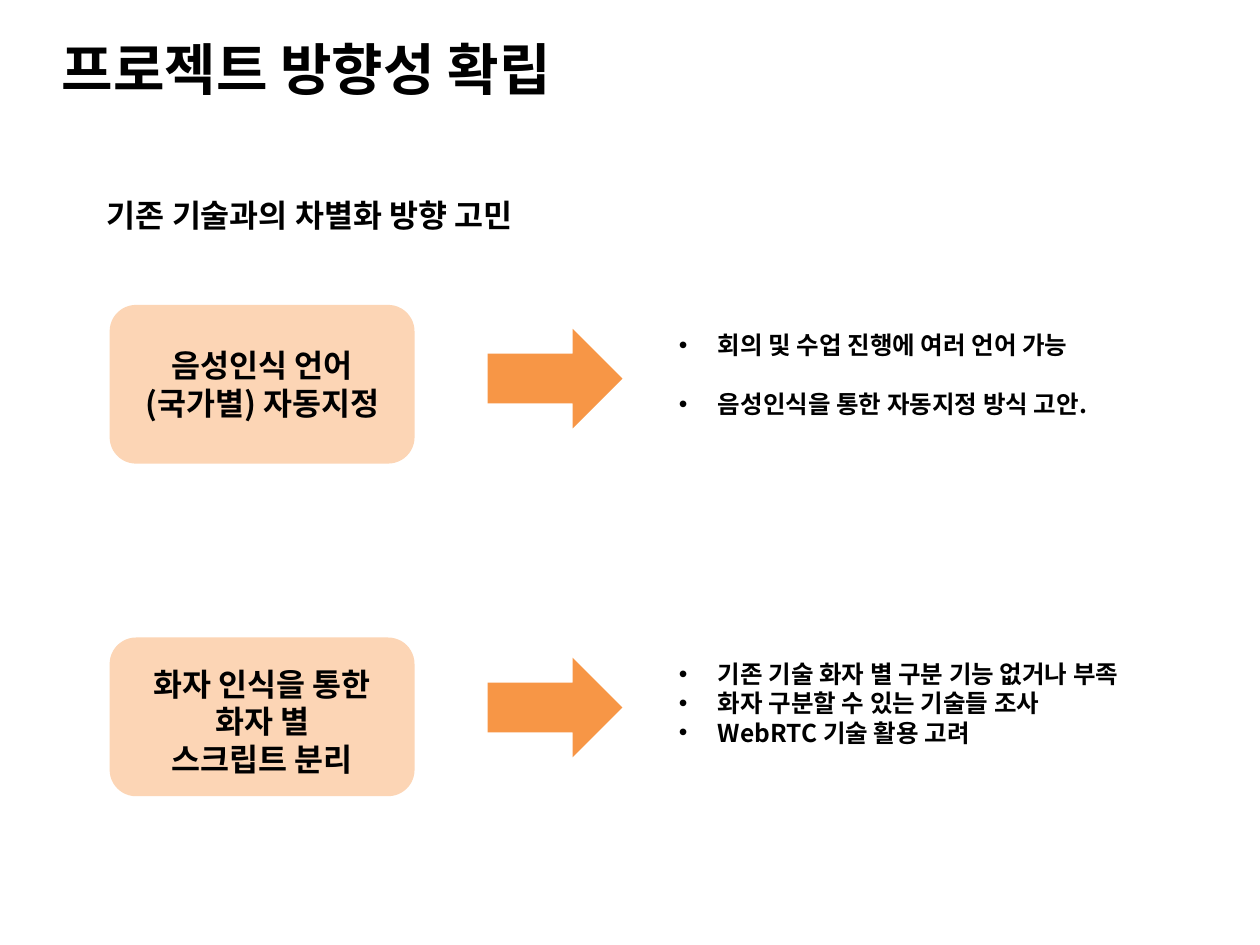
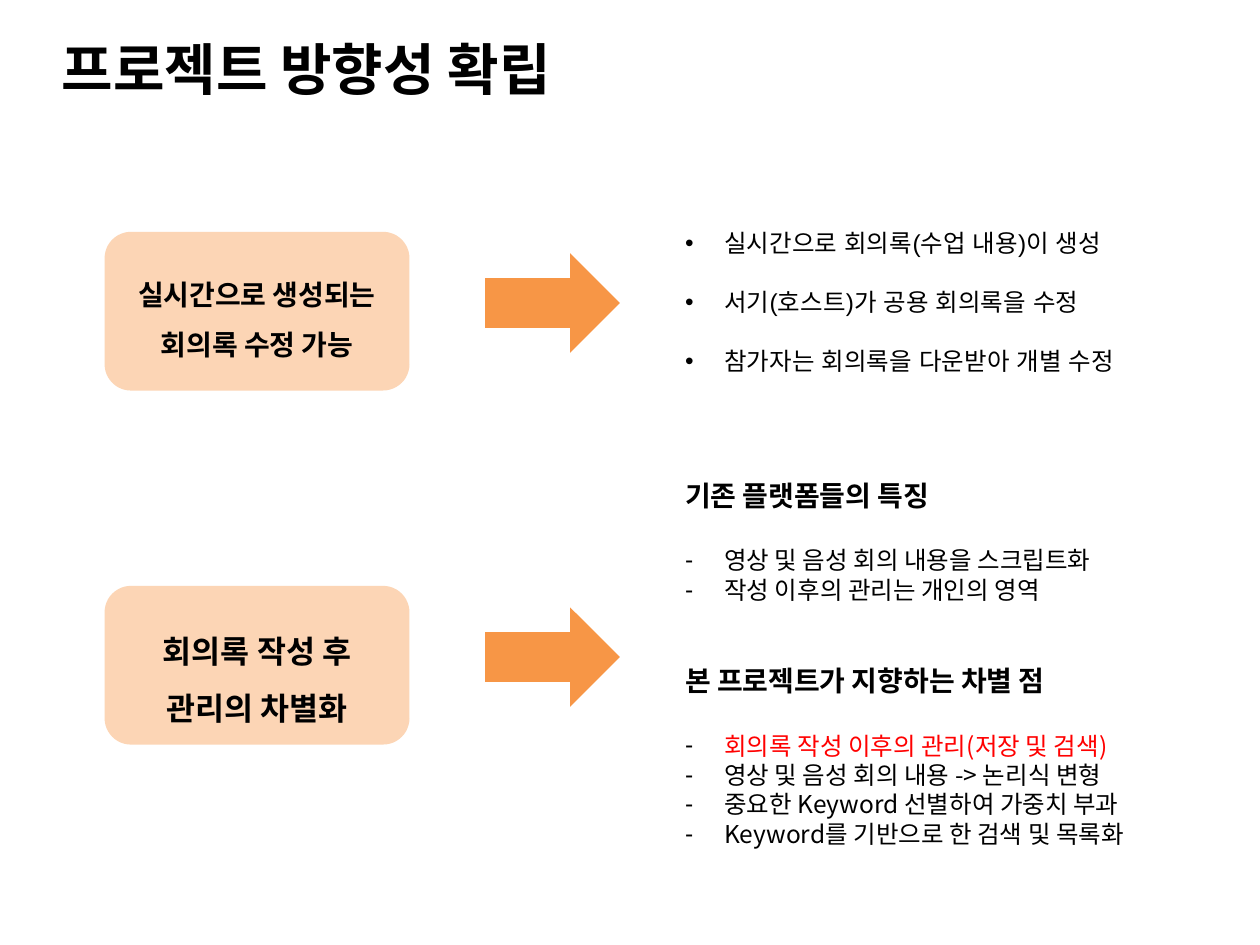
from dataclasses import dataclass

from lxml.etree import SubElement
from pptx import Presentation
from pptx.dml.color import RGBColor
from pptx.enum.shapes import MSO_SHAPE
from pptx.enum.text import MSO_ANCHOR, PP_ALIGN
from pptx.oxml.ns import qn
from pptx.slide import Slide
from pptx.text.text import TextFrame
from pptx.util import Inches, Pt


@dataclass(frozen=True)
class Theme:
    font: str = "Noto Sans CJK KR"
    plain: str = "Arial"
    ink: str = "000000"
    alert: str = "FF0000"
    box: str = "FCD5B5"
    arrow: str = "F79646"
    title: int = 32
    lead: int = 18
    head: int = 16
    body: int = 14
    gap: int = 17


T = Theme()


@dataclass(frozen=True)
class Line:
    text: str
    size: int = T.body
    bold: bool = True
    mark: str = ""
    before: float = 0
    color: str = T.ink
    font: str = T.font
    pitch: float = 1.0
    center: bool = False


@dataclass(frozen=True)
class Row:
    box_top: float
    arrow_top: float
    list_top: float
    list_high: float
    label: list[Line]
    items: list[Line]
    drop: float = 0


@dataclass(frozen=True)
class Grid:
    box: float
    arrow: float
    items: float
    wide: float


def label(texts: list[str], size: int = T.lead, pitch: float = 1.0) -> list[Line]:
    return [Line(text, size, pitch=pitch, center=True) for text in texts]


def bullets(texts: list[str], gap: float = 0, bold: bool = True, font: str = T.font) -> list[Line]:
    return [
        Line(text, bold=bold, mark="•", before=gap if i else 0, font=font)
        for i, text in enumerate(texts)
    ]


def section(head: str, texts: list[str], before: float = 0, first: str = T.ink) -> list[Line]:
    dashes = [
        Line(text, bold=False, mark="-", before=0 if i else 19, color=T.ink if i else first)
        for i, text in enumerate(texts)
    ]
    return [Line(head, T.head, before=before), *dashes]


def write(frame: TextFrame, lines: list[Line]) -> None:
    frame.word_wrap = True
    for i, line in enumerate(lines):
        para = frame.add_paragraph() if i else frame.paragraphs[0]
        para.text = line.text
        para.alignment = PP_ALIGN.CENTER if line.center else PP_ALIGN.LEFT
        if line.pitch != 1:
            para.line_spacing = line.pitch
        if line.before:
            para.space_before = Pt(line.before)
        if line.mark:
            props = para._p.get_or_add_pPr()
            props.set("marL", str(Inches(0.31)))
            props.set("indent", str(-Inches(0.31)))
            tint = SubElement(props, qn("a:buClr"))
            SubElement(tint, qn("a:srgbClr"), val=T.ink)
            SubElement(props, qn("a:buFont"), typeface=T.plain)
            SubElement(props, qn("a:buChar"), char=line.mark)
        font = para.font
        font.name = line.font
        font.size = Pt(line.size)
        font.bold = line.bold
        font.color.rgb = RGBColor.from_string(line.color)
        SubElement(font._element, qn("a:ea"), typeface=line.font)


def add_text(slide: Slide, left: float, top: float, wide: float, high: float, lines: list[Line]) -> TextFrame:
    area = slide.shapes.add_textbox(Inches(left), Inches(top), Inches(wide), Inches(high))
    write(area.text_frame, lines)
    return area.text_frame


def add_form(slide: Slide, kind: MSO_SHAPE, left: float, top: float, wide: float, high: float, fill: str) -> TextFrame:
    form = slide.shapes.add_shape(kind, Inches(left), Inches(top), Inches(wide), Inches(high))
    form.shadow.inherit = False
    form.fill.solid()
    form.fill.fore_color.rgb = RGBColor.from_string(fill)
    form.line.fill.background()
    return form.text_frame


def add_row(slide: Slide, grid: Grid, row: Row) -> None:
    frame = add_form(slide, MSO_SHAPE.ROUNDED_RECTANGLE, grid.box, row.box_top, 2.42, 1.26, T.box)
    frame.vertical_anchor = MSO_ANCHOR.MIDDLE
    frame.margin_top = Inches(0.05 + row.drop)
    write(frame, row.label)
    add_form(slide, MSO_SHAPE.RIGHT_ARROW, grid.arrow, row.arrow_top, 1.07, 0.79, T.arrow)
    add_text(slide, grid.items, row.list_top, grid.wide, row.list_high, row.items)


def add_page(deck: Presentation, grid: Grid, rows: list[Row]) -> Slide:
    slide = deck.slides.add_slide(deck.slide_layouts[6])
    title = add_text(slide, 0.39, 0.22, 9, 0.64, [Line("프로젝트 방향성 확립", T.title)])
    title.vertical_anchor = MSO_ANCHOR.MIDDLE
    for row in rows:
        add_row(slide, grid, row)
    return slide


GOALS = [
    Row(2.42, 2.61, 2.57, 0.81, label(["음성인식 언어(국가별) 자동지정"]),
        bullets(["회의 및 수업 진행에 여러 언어 가능", "음성인식을 통한 자동지정 방식 고안."], T.gap)),
    Row(5.06, 5.22, 5.18, 0.81, label(["화자 인식을 통한 화자 별", "스크립트 분리"]),
        bullets(["기존 기술 화자 별 구분 기능 없거나 부족", "화자 구분할 수 있는 기술들 조사",
                 "WebRTC 기술 활용 고려"]), 0.07),
]

NOTES = [
    Row(1.84, 2.01, 1.76, 1.28, label(["실시간으로 생성되는", "회의록 수정 가능"], T.head, 1.5),
        bullets(["실시간으로 회의록(수업 내용)이 생성", "서기(호스트)가 공용 회의록을 수정",
                 "참가자는 회의록을 다운받아 개별 수정"], T.gap, False, T.plain)),
    Row(4.65, 4.82, 3.75, 3.06, label(["회의록 작성 후", "관리의 차별화"], T.lead, 1.5),
        section("기존 플랫폼들의 특징",
                ["영상 및 음성 회의 내용을 스크립트화", "작성 이후의 관리는 개인의 영역"])
        + section("본 프로젝트가 지향하는 차별 점",
                  ["회의록 작성 이후의 관리(저장 및 검색)", "영상 및 음성 회의 내용 -> 논리식 변형",
                   "중요한 Keyword 선별하여 가중치 부과", "Keyword를 기반으로 한 검색 및 목록화"],
                  2 * T.gap, T.alert), 0.07),
]


def main() -> None:
    deck = Presentation()
    deck.slide_width, deck.slide_height = Inches(10), Inches(7.5)
    goals = add_page(deck, Grid(0.87, 3.87, 5.29, 4.6), GOALS)
    add_text(goals, 0.75, 1.51, 7.31, 0.4, [Line("기존 기술과의 차별화 방향 고민", T.lead)])
    add_page(deck, Grid(0.83, 3.85, 5.34, 4.3), NOTES)
    deck.save("out.pptx")


if __name__ == "__main__":
    main()
